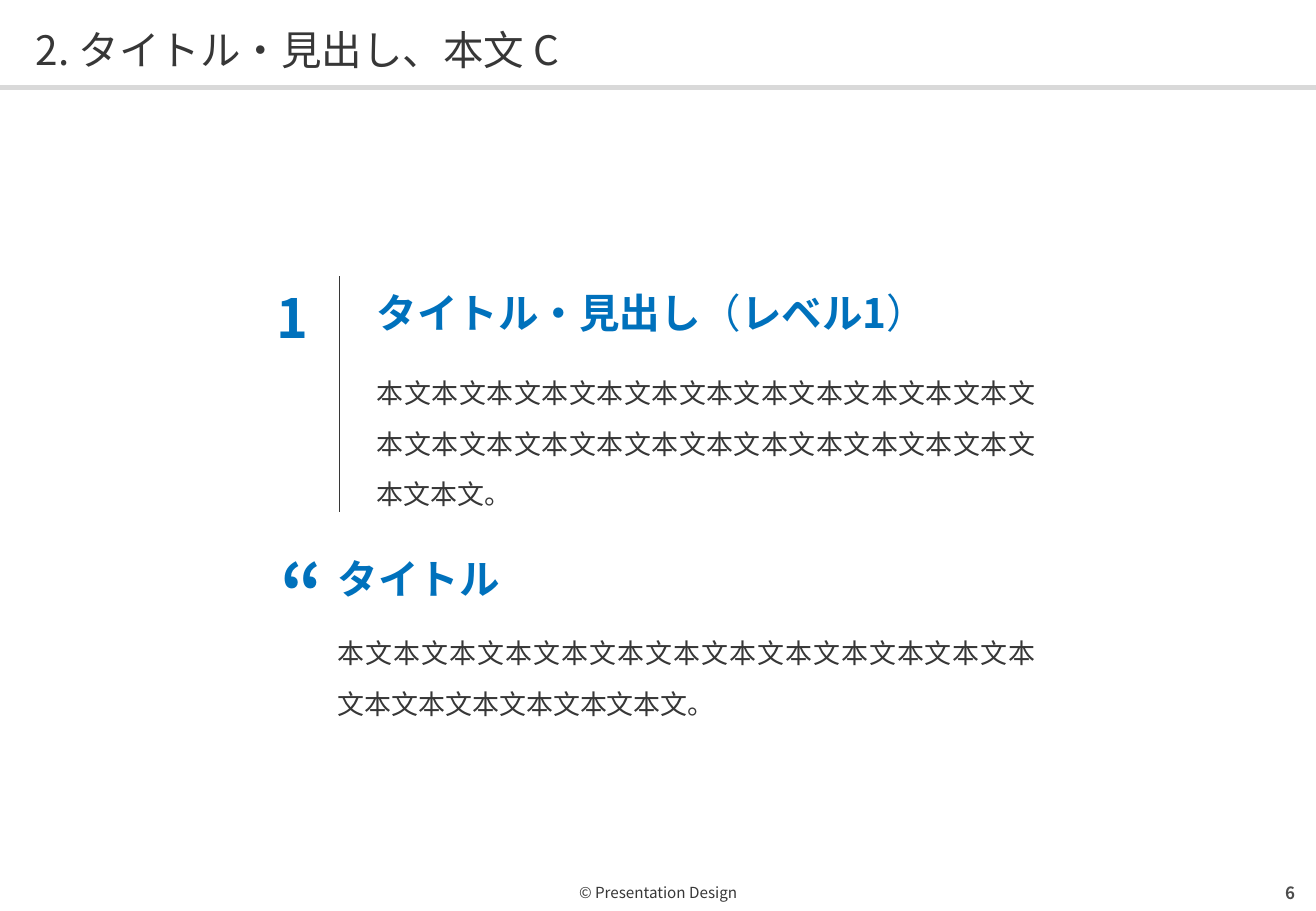
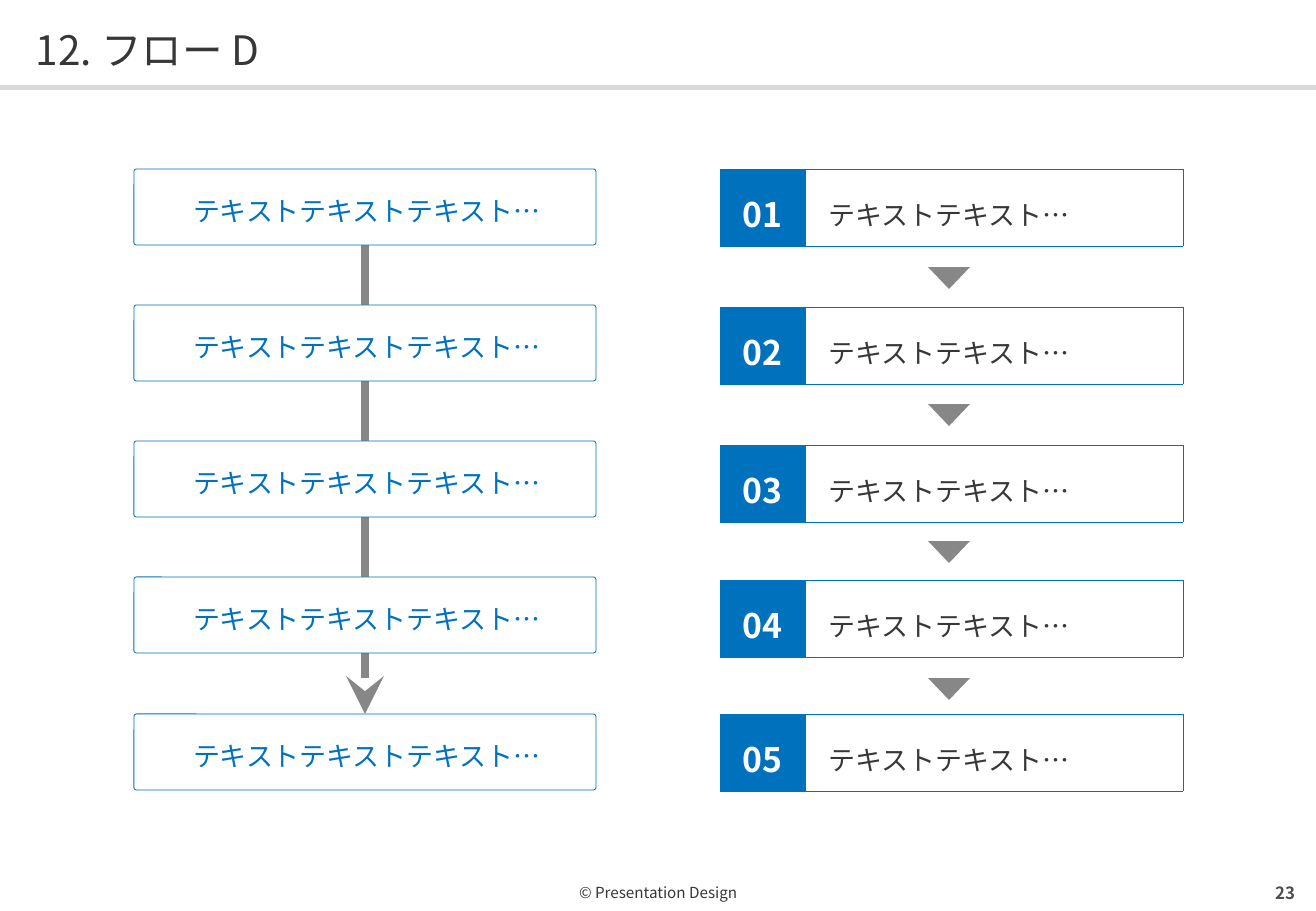
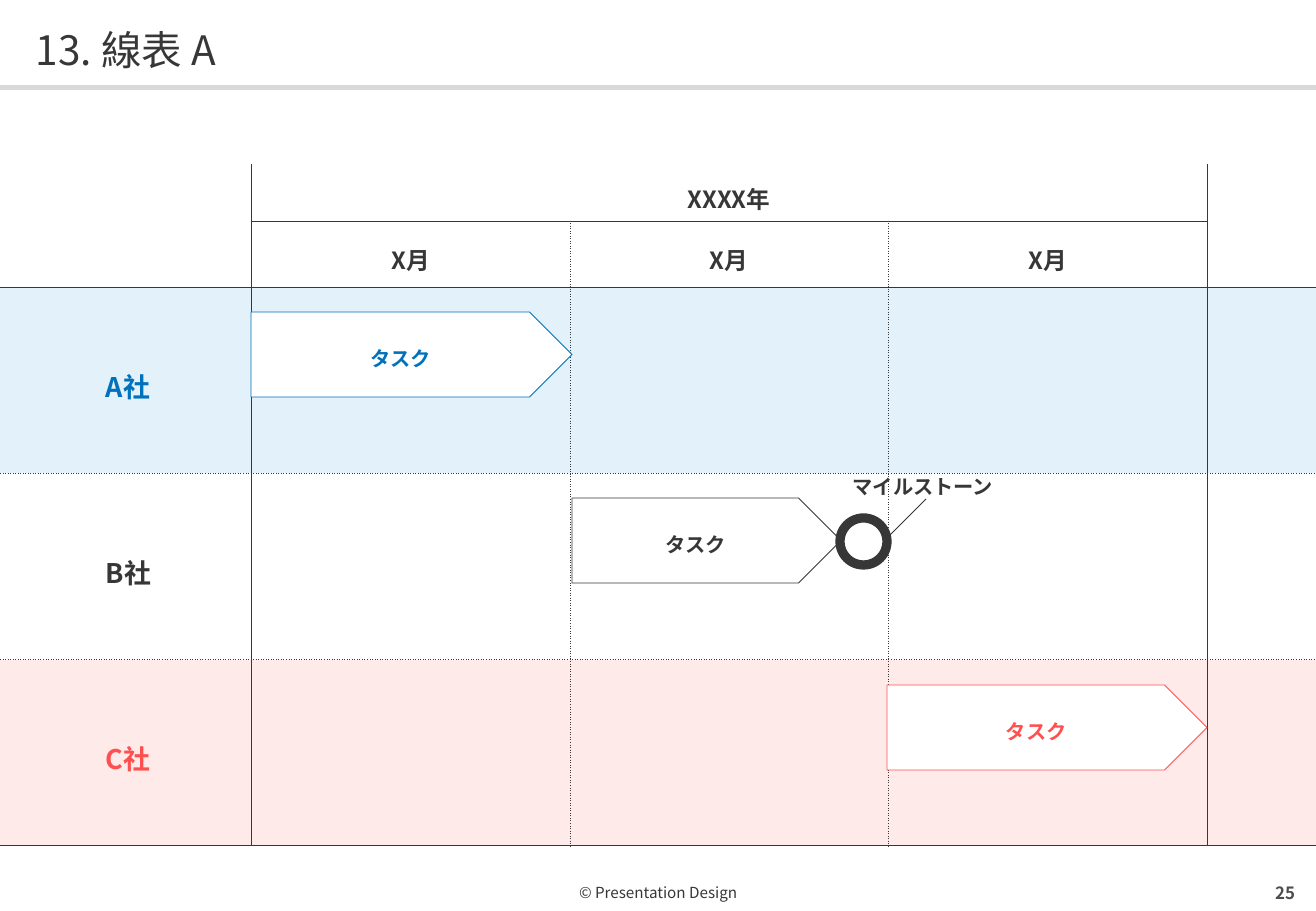
from lxml import etree
from pptx import Presentation
from pptx import util as u
from pptx.dml.color import RGBColor
from pptx.enum import shapes, text
from pptx.oxml.ns import qn

PX = 914400 / 121.5
WIDTH, HEIGHT = 1316, 911
FONT = "Noto Sans CJK JP"
NO_STYLE = "{2D5ABB26-0587-4C30-8999-92F81FD0307C}"
COLORS = {
    "ink": "373737", "blue": "0071BC", "red": "FF5050", "white": "FFFFFF",
    "band": "D9D9D9", "gray": "878787", "page": "4D4D4D",
    "pale_blue": "E2F1FA", "pale_red": "FFEAEA",
}
SHAPE = shapes.MSO_SHAPE
LEFT, CENTER = text.PP_ALIGN.LEFT, text.PP_ALIGN.CENTER
RIGHT, JUSTIFY = text.PP_ALIGN.RIGHT, text.PP_ALIGN.JUSTIFY
TOP, MIDDLE = text.MSO_ANCHOR.TOP, text.MSO_ANCHOR.MIDDLE

FOOTER = "© Presentation Design"

HEADING = [("タイトル・見出し", True), ("（", False), ("レベル1", True), ("）", False)]
HEADING_BODY = "本文" * 26 + "。"
QUOTE_TITLE = "タイトル"
QUOTE_BODY = "本文" * 19 + "。"

FLOW_TEXT = "テキストテキストテキスト…"
STEP_TEXT = "テキストテキスト…"
STEP_TOPS = [169, 307, 445, 580, 714]

YEAR, MONTH, TASK, MILESTONE = "XXXX年", "X月", "タスク", "マイルストーン"
COMPANIES = [
    {"name": "A社", "color": "blue", "fill": "pale_blue", "task": (251, 321)},
    {"name": "B社", "color": "ink", "fill": "white", "task": (572, 269)},
    {"name": "C社", "color": "red", "fill": "pale_red", "task": (887, 320)},
]
SCHEDULE_TOP = 164
SCHEDULE_COLS = [251, 319, 318, 319, 109]
SCHEDULE_ROWS = [57, 66, 186, 187, 186]


def px(n):
    return u.Emu(round(n * PX))


def rgb(name):
    return RGBColor.from_string(COLORS[name])


def frame(box, insets=(0, 0, 0, 0), anchor=TOP):
    box.margin_left, box.margin_top, box.margin_right, box.margin_bottom = map(px, insets)
    box.vertical_anchor = anchor


def write(p, content, size, color="ink", bold=False, align=LEFT, spacing=1.0, after=0):
    p.alignment = align
    p.line_spacing = spacing
    p.space_after = u.Pt(after)
    p.font.size = u.Pt(size)
    p.font.name = FONT
    p.font.color.rgb = rgb(color)
    etree.SubElement(p.font._element, qn("a:ea"), typeface=FONT)
    if isinstance(content, str):
        p.font.bold = bold
        p.add_run().text = content
    else:
        for part, part_bold in content:
            r = p.add_run()
            r.text = part
            r.font.bold = part_bold


def add_text(s, at, content, size, anchor=TOP, **style):
    tf = s.shapes.add_textbox(*map(px, at)).text_frame
    tf.word_wrap = True
    frame(tf, anchor=anchor)
    write(tf.paragraphs[0], content, size, **style)


def add_shape(s, kind, at, fill=None, line=None, width=0.5):
    sp = s.shapes.add_shape(kind, *map(px, at))
    sp.shadow.inherit = False
    if fill:
        sp.fill.solid()
        sp.fill.fore_color.rgb = rgb(fill)
    else:
        sp.fill.background()
    if line:
        sp.line.color.rgb = rgb(line)
        sp.line.width = u.Pt(width)
    else:
        sp.line.fill.background()
    return sp


def fill_shape_text(sp, content, size, insets, **style):
    tf = sp.text_frame
    tf.word_wrap = True
    frame(tf, insets, MIDDLE)
    write(tf.paragraphs[0], content, size, align=CENTER, **style)


def add_line(s, start, end, color, width):
    line = s.shapes.add_connector(shapes.MSO_CONNECTOR.STRAIGHT, *map(px, start + end))
    line.line.color.rgb = rgb(color)
    line.line.width = u.Pt(width)
    etree.SubElement(line._element.spPr, qn("a:effectLst"))
    return line


def add_table(s, left, top, cols, rows):
    box = s.shapes.add_table(len(rows), len(cols), px(left), px(top), px(sum(cols)), px(sum(rows)))
    table = box.table
    table.first_row = table.horz_banding = False
    table._tbl.tblPr.find(qn("a:tableStyleId")).text = NO_STYLE
    for column, width in zip(table.columns, cols):
        column.width = px(width)
    for row, height in zip(table.rows, rows):
        row.height = px(height)
    for cell in table.iter_cells():
        frame(cell)
    return table


def style_cell(cell, edges=None, fill=None):
    tcPr = cell._tc.get_or_add_tcPr()
    for side in "LRTB":
        color, dash = (edges or {}).get(side) or (None, None)
        ln = etree.SubElement(tcPr, qn(f"a:ln{side}"), w=str(u.Pt(0.5)))
        if color:
            solid = etree.SubElement(ln, qn("a:solidFill"))
            etree.SubElement(solid, qn("a:srgbClr"), val=COLORS[color])
            etree.SubElement(ln, qn("a:prstDash"), val=dash)
        else:
            etree.SubElement(ln, qn("a:noFill"))
    if fill:
        cell.fill.solid()
        cell.fill.fore_color.rgb = rgb(fill)
    else:
        cell.fill.background()


def fill_cell(cell, content, size, insets=(0, 0, 0, 0), anchor=TOP, **style):
    frame(cell, insets, anchor)
    write(cell.text_frame.paragraphs[0], content, size, **style)


def add_slide(prs, title, page):
    s = prs.slides.add_slide(prs.slide_layouts[6])
    add_text(s, (452, 876, 412, 26), FOOTER, 9, align=CENTER, spacing=1.4)
    add_shape(s, SHAPE.RECTANGLE, (0, 85, WIDTH, 5), "band")
    add_text(s, (36, 21, 1244, 52), title, 24, anchor=MIDDLE, spacing=1.1)
    add_text(s, (988, 876, 307, 34), str(page), 10, anchor=MIDDLE, color="page",
             bold=True, align=RIGHT)
    return s


def build_headings(prs):
    s = add_slide(prs, "2. タイトル・見出し、本文 C", 6)
    divider = ("ink", "solid")

    numbered = add_table(s, 265, 276, [74, 697], [236])
    number, body = numbered.cell(0, 0), numbered.cell(0, 1)
    style_cell(number, {"R": divider})
    style_cell(body, {"L": divider})
    fill_cell(number, "1", 32, (0, 0, 19, 0), color="blue", bold=True, align=CENTER)
    fill_cell(body, HEADING, 24, (38, 0, 0, 0), MIDDLE, color="blue", spacing=1.1, after=12)
    write(body.text_frame.add_paragraph(), HEADING_BODY, 16, align=JUSTIFY, spacing=1.3)

    quote = add_table(s, 281, 542, [38, 718], [79, 102])
    for cell in quote.iter_cells():
        style_cell(cell)
    quote.cell(0, 0).merge(quote.cell(1, 0))
    fill_cell(quote.cell(0, 0), "“", 44, color="blue", bold=True, align=RIGHT, spacing=0.9)
    fill_cell(quote.cell(0, 1), QUOTE_TITLE, 24, (19, 0, 0, 15), color="blue", bold=True,
              align=JUSTIFY, spacing=1.1)
    fill_cell(quote.cell(1, 1), QUOTE_BODY, 16, (19, 0, 0, 0), align=JUSTIFY, spacing=1.3)


def build_flow(prs):
    s = add_slide(prs, "12. フロー D", 23)
    border = dict.fromkeys("LRTB", ("blue", "solid"))
    for i, top in enumerate(STEP_TOPS, 1):
        step = add_table(s, 720, top, [85, 378], [77])
        number, label = step.cell(0, 0), step.cell(0, 1)
        style_cell(number, border, "blue")
        style_cell(label, border, "white")
        fill_cell(number, f"{i:02}", 20, (0, 10, 0, 5), MIDDLE, color="white", bold=True,
                  align=CENTER, spacing=1.1)
        fill_cell(label, STEP_TEXT, 16, (24, 10, 0, 5), MIDDLE, align=JUSTIFY, spacing=1.2)

    arrow = add_line(s, (365, 245), (365, 714), "gray", 4.5)
    etree.SubElement(arrow.line._get_or_add_ln(), qn("a:tailEnd"), type="stealth", w="lg", len="lg")
    for i in range(5):
        box = add_shape(s, SHAPE.ROUNDED_RECTANGLE, (134, 169 + 545 * i // 4, 462, 76),
                        "white", "blue")
        box.adjustments[0] = 0.035
        fill_shape_text(box, FLOW_TEXT, 16, (19, 22, 15, 17), color="blue", spacing=1.1)
    for i in range(4):
        marker = add_shape(s, SHAPE.ISOSCELES_TRIANGLE, (928, 267 + 137 * i, 42, 22), "gray")
        marker.rotation = 180


def build_schedule(prs):
    s = add_slide(prs, "13. 線表 A", 25)
    solid, dotted = ("ink", "solid"), ("ink", "dot")
    vertical = [None, solid, dotted, dotted, solid, None]
    horizontal = [None, solid, solid, dotted, dotted, solid]

    table = add_table(s, 0, SCHEDULE_TOP, SCHEDULE_COLS, SCHEDULE_ROWS)
    for row in range(5):
        for col in range(5):
            edges = {"L": vertical[col], "R": vertical[col + 1],
                     "T": horizontal[row], "B": horizontal[row + 1]}
            if col in (0, 4) and row < 2:
                edges["B" if row == 0 else "T"] = None
            if row == 0 and 1 <= col <= 3:
                edges.update(L=solid, R=solid)
            style_cell(table.cell(row, col), edges, COMPANIES[row - 2]["fill"] if row > 1 else None)
    for col in (0, 4):
        table.cell(0, col).merge(table.cell(1, col))
        style_merged = table.cell(0, col)._tc.tcPr.find(qn("a:lnB"))
        style_merged.getparent().replace(
            style_merged, etree.fromstring(etree.tostring(table.cell(1, col)._tc.tcPr.find(qn("a:lnB")))))
    table.cell(0, 1).merge(table.cell(0, 3))

    head = dict(insets=(0, 10, 0, 7), anchor=MIDDLE, bold=True, align=CENTER, spacing=1.2)
    fill_cell(table.cell(0, 1), YEAR, 14, **head)
    for col in (1, 2, 3):
        fill_cell(table.cell(1, col), MONTH, 14, **head)

    for row, company in enumerate(COMPANIES, 2):
        color = company["color"]
        fill_cell(table.cell(row, 0), company["name"], 16, (106, 15, 0, 12), MIDDLE,
                  color=color, bold=True, spacing=1.2)
        left, width = company["task"]
        top = SCHEDULE_TOP + sum(SCHEDULE_ROWS[:row]) + 25
        task = add_shape(s, SHAPE.PENTAGON, (left, top, width, 85), "white", color)
        fill_shape_text(task, TASK, 12, (10, 15, 10, 12), color=color, bold=True, spacing=1.2)

    add_shape(s, SHAPE.OVAL, (840, 518, 47, 47), line="ink", width=5.5)
    add_text(s, (849, 469, 148, 28), MILESTONE, 12, bold=True, align=CENTER, spacing=1.2)
    add_line(s, (887, 538), (926, 499), "ink", 0.5)


def main():
    prs = Presentation()
    prs.slide_width, prs.slide_height = px(WIDTH), px(HEIGHT)
    build_headings(prs)
    build_flow(prs)
    build_schedule(prs)
    prs.save("out.pptx")


if __name__ == "__main__":
    main()
